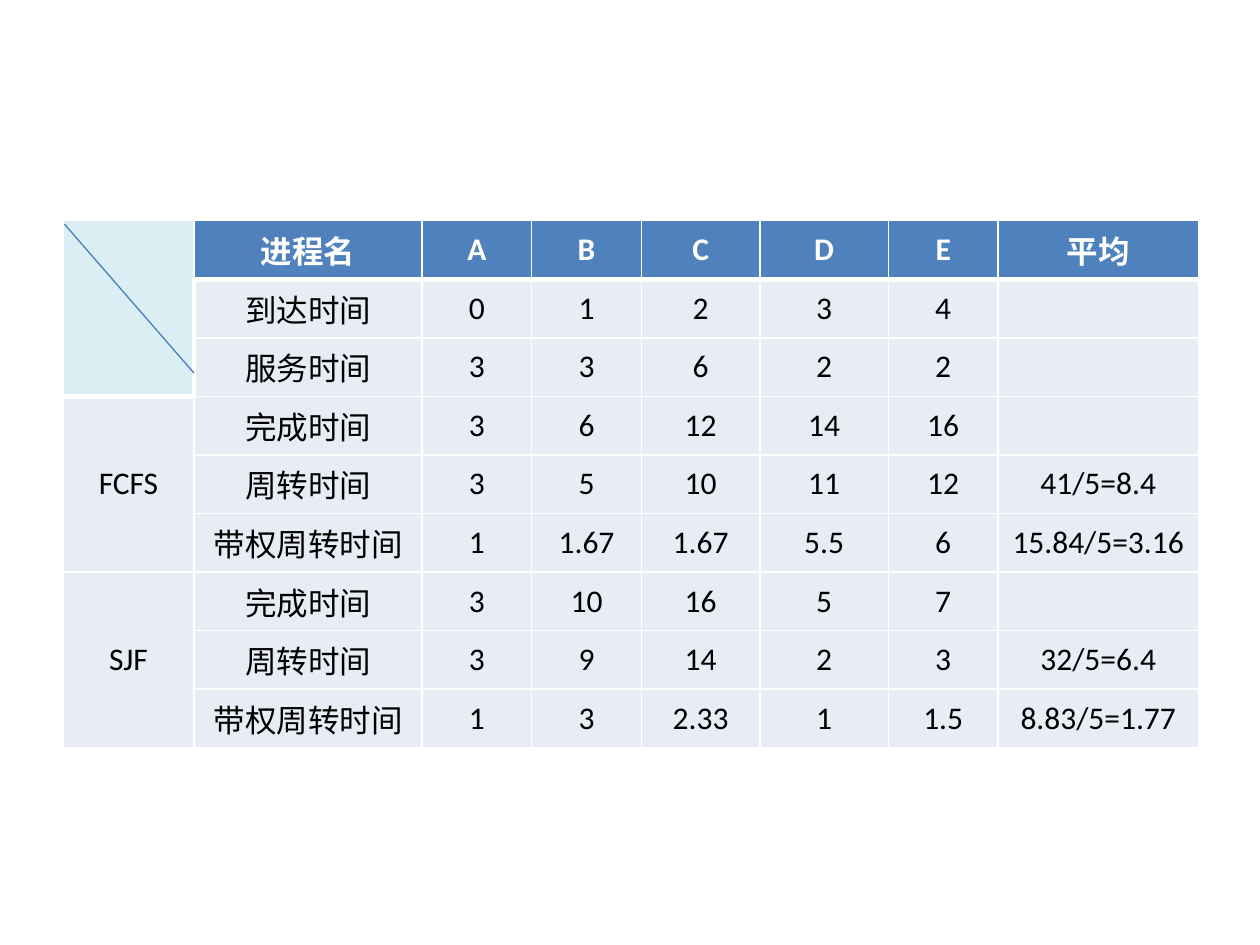
from lxml import etree
from pptx import Presentation
from pptx import util as u
from pptx.dml.color import RGBColor
from pptx.enum import shapes, text
from pptx.oxml.ns import qn

HUES = {"head": "4F81BD", "body": "E8ECF4", "corner": "DBEEF4",
        "white": "FFFFFF", "black": "000000", "line": "4A7EBB"}
WIDTHS = [2.64, 4.6, 2.21, 2.21, 2.39, 2.59, 2.21, 4.04]
ROW = 1.03
ROWS = [
    ["", "进程名", "A", "B", "C", "D", "E", "平均"],
    ["", "到达时间", "0", "1", "2", "3", "4", ""],
    ["", "服务时间", "3", "3", "6", "2", "2", ""],
    ["FCFS", "完成时间", "3", "6", "12", "14", "16", ""],
    ["", "周转时间", "3", "5", "10", "11", "12", "41/5=8.4"],
    ["", "带权周转时间", "1", "1.67", "1.67", "5.5", "6", "15.84/5=3.16"],
    ["SJF", "完成时间", "3", "10", "16", "5", "7", ""],
    ["", "周转时间", "3", "9", "14", "2", "3", "32/5=6.4"],
    ["", "带权周转时间", "1", "3", "2.33", "1", "1.5", "8.83/5=1.77"],
]


def hue(name):
    return RGBColor.from_string(HUES[name])


class Deck:
    def __init__(self):
        self.prs = Presentation()
        self.prs.slide_width, self.prs.slide_height = u.Cm(25.4), u.Cm(19.05)
        self.slide = self.prs.slides.add_slide(self.prs.slide_layouts[6])
        self.size = u.Pt(18)

    def edges(self, cell, thick):
        props = cell._tc.get_or_add_tcPr()
        for i, side in enumerate("LRTB"):
            width = u.Pt(3 if side in thick else 1)
            edge = etree.Element(qn(f"a:ln{side}"), w=str(int(width)))
            fill = etree.SubElement(edge, qn("a:solidFill"))
            etree.SubElement(fill, qn("a:srgbClr"), val=HUES["white"])
            props.insert(i, edge)

    def cell(self, cell, words, fill, ink, bold, thick):
        cell.fill.solid()
        cell.fill.fore_color.rgb = hue(fill)
        cell.margin_left = cell.margin_right = u.Cm(0.13)
        cell.margin_top = cell.margin_bottom = u.Cm(0.13)
        cell.vertical_anchor = text.MSO_ANCHOR.MIDDLE
        self.edges(cell, thick)
        para = cell.text_frame.paragraphs[0]
        para.alignment = text.PP_ALIGN.CENTER
        if words:
            run = para.add_run()
            run.text = words
            font = run.font
            font.name = "Calibri" if words.isascii() else "Roboto"
            font.size, font.bold = self.size, bold
            font.color.rgb = hue(ink)

    def table(self, left, top, rows, widths, high):
        frame = self.slide.shapes.add_table(
            len(rows), len(widths), u.Cm(left), u.Cm(top),
            u.Cm(sum(widths)), u.Cm(high * len(rows)))
        grid = frame.table
        grid.horz_banding = False
        for col, width in zip(grid.columns, widths):
            col.width = u.Cm(width)
        for r, row in enumerate(rows):
            grid.rows[r].height = u.Cm(high)
            for c, words in enumerate(row):
                head = r == 0
                fill = "head" if head else "body"
                if c == 0 and r < 3:
                    fill = "corner"
                # Heavy rules set off the header row and the corner block
                thick = "B" if head else "T" if r == 1 or (r, c) == (3, 0) else ""
                if c == 1 and r in (1, 2):
                    thick += "L"
                self.cell(grid.cell(r, c), words, fill,
                          "white" if head else "black", head, thick)
        # Each group label spans three rows
        for r in range(0, len(rows), 3):
            grid.cell(r, 0).merge(grid.cell(r + 2, 0))

    def line(self, x1, y1, x2, y2):
        rule = self.slide.shapes.add_connector(
            shapes.MSO_CONNECTOR.STRAIGHT, u.Cm(x1), u.Cm(y1), u.Cm(x2), u.Cm(y2))
        rule.line.color.rgb = hue("line")
        rule.line.width = u.Pt(0.75)
        etree.SubElement(rule._element.spPr, qn("a:effectLst"))


def main():
    deck = Deck()
    # Scheduling results
    deck.table(1.27, 4.45, ROWS, WIDTHS, ROW)
    # Diagonal of the corner cell
    deck.line(1.3, 4.52, 3.91, 7.52)
    deck.prs.save("out.pptx")


if __name__ == "__main__":
    main()
